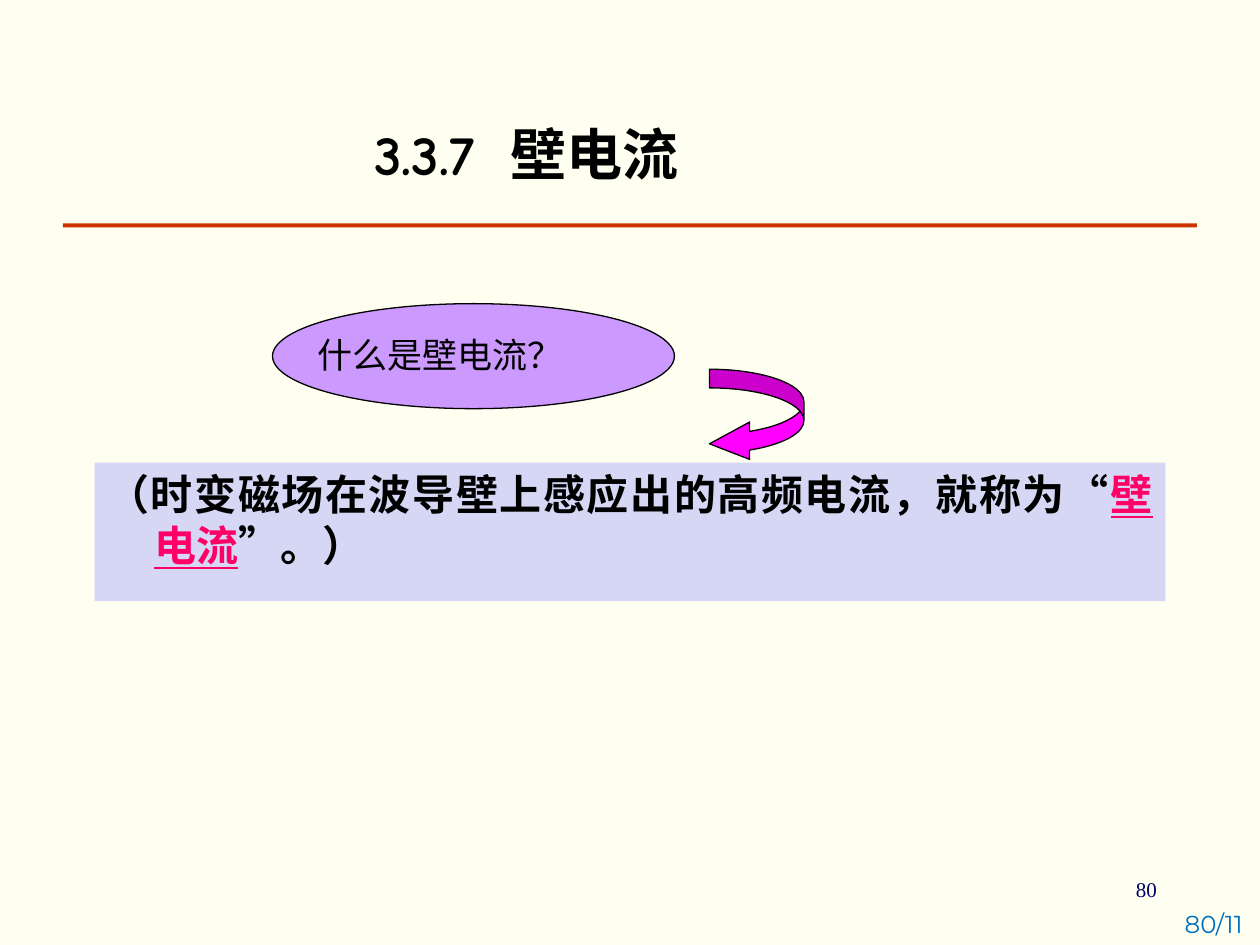
from pptx import Presentation
from pptx.dml.color import RGBColor
from pptx.enum.shapes import MSO_SHAPE
from pptx.enum.text import MSO_ANCHOR, MSO_AUTO_SIZE, PP_ALIGN
from pptx.oxml.ns import qn
from pptx.util import Pt
from lxml import etree

COLORS = {
    "background": "FFFFF1", "rule": "CC3300", "text": "000000",
    "panel": "D6D6F5", "accent": "FF0066", "bubble": "CC99FF",
    "arrow": "FF00FF", "number": "000066", "footer": "0070C0",
}


class SlideBuilder:
    heading_font = "Comic Neue"

    def __init__(self, prs):
        self.s = prs.slides.add_slide(prs.slide_layouts[1])
        self.fill(self.s.background, "background")

    def fill(self, target, color):
        target.fill.solid()
        target.fill.fore_color.rgb = RGBColor.from_string(COLORS[color])

    def place(self, sp, box):
        sp.left, sp.top, sp.width, sp.height = (Pt(v) for v in box)

    def run(self, p, text, size, font, color="text", bold=False, underline=False):
        r = p.add_run()
        r.text = text
        r.font.size, r.font.name = Pt(size), font
        r.font.bold, r.font.underline = bold, underline
        r.font.color.rgb = RGBColor.from_string(COLORS[color])
        return r

    def shape(self, kind, box, color, outline=False, parent=None):
        sp = (parent or self.s).shapes.add_shape(kind, *(Pt(v) for v in box))
        sp.shadow.inherit = False
        self.fill(sp, color)
        if outline:
            sp.line.color.rgb = RGBColor.from_string(COLORS["text"])
            sp.line.width = Pt(0.75)
        else:
            sp.line.fill.background()
        return sp

    def text(self, box, text, size, font, color="text", align=PP_ALIGN.LEFT,
             anchor=MSO_ANCHOR.TOP, wrap=True, parent=None):
        tf = (parent or self.s).shapes.add_textbox(*(Pt(v) for v in box)).text_frame
        tf.word_wrap, tf.vertical_anchor = wrap, anchor
        p = tf.paragraphs[0]
        p.alignment = align
        self.run(p, text, size, font, color)

    def title(self, box, number, name):
        sp = self.s.shapes.title
        self.place(sp, box)
        tf = sp.text_frame
        tf.auto_size, tf.vertical_anchor = MSO_AUTO_SIZE.NONE, MSO_ANCHOR.MIDDLE
        p = tf.paragraphs[0]
        p.alignment = PP_ALIGN.LEFT
        self.run(p, number, 32, self.heading_font, bold=True)
        gap = self.run(p, " ", 32, self.heading_font, bold=True)
        gap.font._element.set("spc", "900")  # widen the gap by 9 pt
        self.run(p, name, 32, self.heading_font, bold=True)

    def body(self, box, parts):
        sp = self.s.placeholders[1]
        self.place(sp, box)
        self.fill(sp, "panel")
        tf = sp.text_frame
        tf.auto_size, tf.vertical_anchor = MSO_AUTO_SIZE.NONE, MSO_ANCHOR.TOP
        p = tf.paragraphs[0]
        p.alignment, p.space_before = PP_ALIGN.JUSTIFY, Pt(0)
        pPr = p._p.get_or_add_pPr()
        pPr.set("marL", str(Pt(27)))
        pPr.set("indent", str(Pt(-27)))
        etree.SubElement(pPr, qn("a:buNone"))
        for text, key_term in parts:
            self.run(p, text, 24, self.heading_font,
                     "accent" if key_term else "text", True, key_term)


def main():
    prs = Presentation()
    prs.slide_width, prs.slide_height = Pt(720), Pt(540)
    b = SlideBuilder(prs)

    # Page number and rule under the title
    b.text((642, 497.5, 29, 21.6), "80", 12, "Times New Roman", "number", wrap=False)
    b.shape(MSO_SHAPE.RECTANGLE, (36, 127.6, 648, 2.4), "rule")

    # Title and definition
    b.title((206.6, 60.5, 318, 54), "3.3.7", "壁电流")
    b.body((54, 264.3, 612, 79.2), [
        ("（时变磁场在波导壁上感应出的高频电流，就称为“", False),
        ("壁电流", True),
        ("”。）", False),
    ])

    # Question bubble with its arrow to the definition
    bubble = b.s.shapes.add_group_shape()
    b.shape(MSO_SHAPE.OVAL, (155.7, 173.5, 229.7, 60), "bubble", True, bubble)
    b.text((174.2, 187.2, 215.3, 31.7), "什么是壁电流？", 20, "Lato", parent=bubble)
    arrow = b.shape(MSO_SHAPE.CURVED_LEFT_ARROW, (405.4, 211, 54, 53.3), "arrow", True)
    for i, value in enumerate((0.2, 0.4, 0.43)):
        arrow.adjustments[i] = value

    # Footer counter
    b.text((549.4, 513.4, 167.8, 28.8), "80/11", 14, "Montserrat", "footer",
           PP_ALIGN.RIGHT, MSO_ANCHOR.MIDDLE)

    prs.save("out.pptx")


if __name__ == "__main__":
    main()
